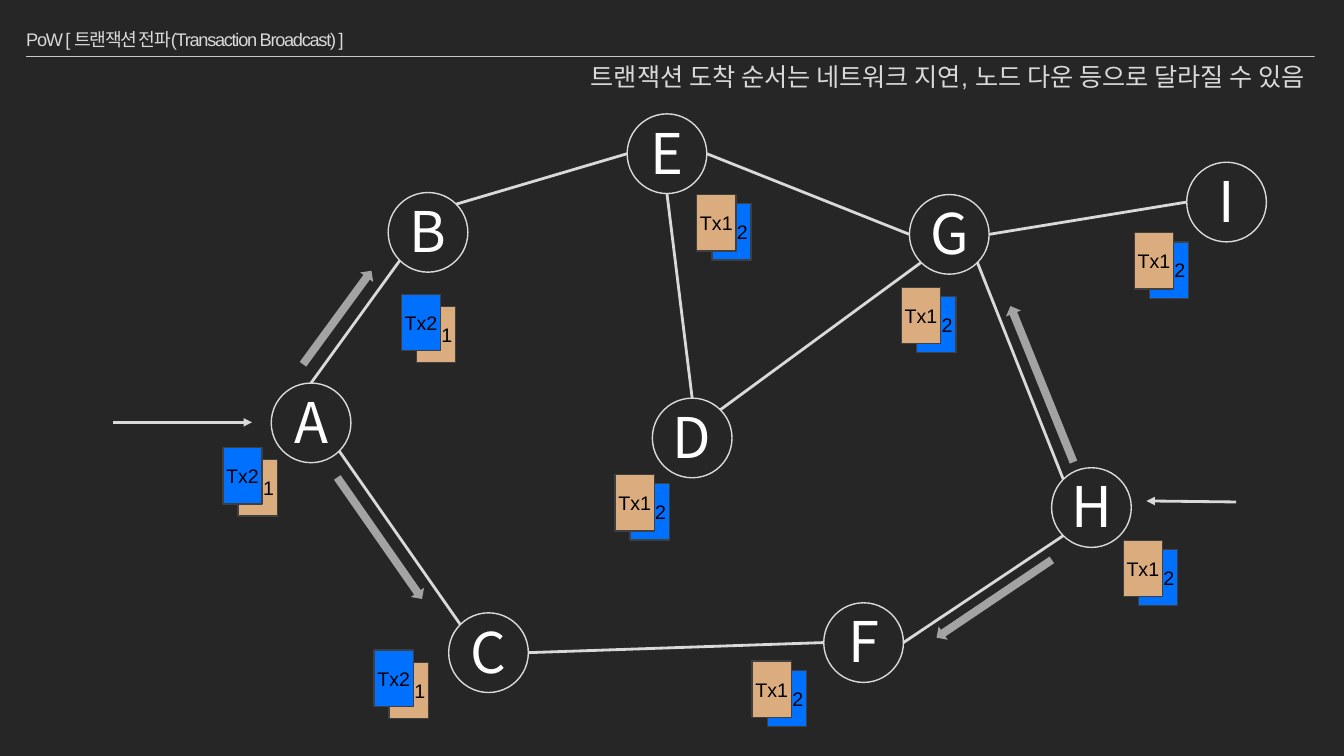
"""Build the transaction broadcast network slide."""
from math import cos, radians, sin

from pptx import Presentation
from pptx.dml.color import RGBColor
from pptx.enum.shapes import MSO_CONNECTOR as CONN, MSO_SHAPE as SHAPE
from pptx.enum.text import MSO_ANCHOR as ANCHOR, PP_ALIGN as ALIGN
from pptx.oxml.ns import qn
from pptx.util import Inches, Pt

TITLE = "PoW [ 트랜잭션 전파(Transaction Broadcast) ]"
NOTE = "트랜잭션 도착 순서는 네트워크 지연, 노드 다운 등으로 달라질 수 있음"
NODES = {
    "A": (2.69, 3.8), "I": (11.77, 1.61), "H": (10.43, 4.64),
    "G": (9.02, 1.93), "F": (8.17, 5.98), "E": (6.22, 1.13),
    "D": (6.47, 3.95), "C": (4.45, 6.08), "B": (3.85, 1.91),
}
EDGES = [
    ("A", "top", "B", "bottom left"), ("E", "left", "B", "top right"),
    ("E", "bottom", "D", "top"), ("A", "bottom right", "C", "top left"),
    ("C", "right", "F", "left"), ("F", "right", "H", "bottom left"),
    ("D", "top right", "G", "bottom left"), ("G", "right", "I", "left"),
    ("G", "left", "E", "right"), ("G", "bottom right", "H", "top left"),
]
INPUTS = [((1.12, 4.19), (2.5, 4.19)), ((12.26, 4.98), (11.37, 4.97))]
BROADCASTS = [
    (2.77, 3.07, 1.15, 306.2), (3.03, 5.26, 1.47, 55.1),
    (9.17, 5.86, 1.38, 146), (9.5, 3.73, 1.67, 248),
]
QUEUES = [
    ("Tx2", 2.21, 4.44), ("Tx1", 11.14, 5.36), ("Tx1", 7.46, 6.56),
    ("Tx1", 11.25, 2.31), ("Tx1", 8.94, 2.85), ("Tx1", 6.1, 4.71),
    ("Tx1", 6.91, 1.93), ("Tx2", 3.71, 6.45), ("Tx2", 3.98, 2.92),
]
COLORS = {
    "background": "262626", "rule": "F2F2F2", "light": "D9D9D9",
    "node": "FFFFFF", "ink": "000000", "border": "3F3F3F",
    "Tx1": "DBAC7D", "Tx2": "0071FF",
}
ANGLES = {
    "right": 0, "bottom right": 45, "bottom": 90, "bottom left": 135,
    "left": 180, "top left": 225, "top": 270, "top right": 315,
}
BEHIND = {"Tx1": ("Tx2", 0.15, 0.09), "Tx2": ("Tx1", 0.15, 0.12)}
NODE_SIZE = 0.79
ARROW_H = 0.16
CARD_W, CARD_H = 0.39, 0.56
KOREAN = "Noto Sans CJK KR"

prs = Presentation()
prs.slide_width, prs.slide_height = Inches(13.33), Inches(7.5)
slide = prs.slides.add_slide(prs.slide_layouts[6])


def rgb(name):
    return RGBColor.from_string(COLORS[name])


def set_opacity(s, percent):
    for color in s.element.spPr.iter(qn("a:srgbClr")):
        alpha = color.makeelement(qn("a:alpha"), {"val": str(percent * 1000)})
        color.append(alpha)


def write(s, text, size, color, font="Arial", align=ALIGN.CENTER,
          anchor=ANCHOR.MIDDLE, margins=(0, 0, 0, 0), wrap=True):
    tf = s.text_frame
    sides = ("left", "top", "right", "bottom")
    frame = {f"margin_{side}": Inches(m) for side, m in zip(sides, margins)}
    frame.update(word_wrap=wrap, vertical_anchor=anchor)
    for key, value in frame.items():
        setattr(tf, key, value)
    p = tf.paragraphs[0]
    p.alignment = align
    r = p.add_run()
    r.text = text
    for key, value in {"size": Pt(size), "name": font}.items():
        setattr(r.font, key, value)
    r.font.color.rgb = rgb(color)
    rPr = r.font._element
    rPr.append(rPr.makeelement(qn("a:ea"), {"typeface": KOREAN}))
    return p, r


def add_box(kind, x, y, w, h, fill=None, line=None):
    s = slide.shapes.add_shape(kind, *map(Inches, (x, y, w, h)))
    s.shadow.inherit = False
    if fill:
        s.fill.solid()
        s.fill.fore_color.rgb = rgb(fill)
    else:
        s.fill.background()
    if line:
        s.line.color.rgb = rgb(line)
        s.line.width = Pt(1)
    else:
        s.line.fill.background()
    return s


def add_line(start, end, color="light", width=2, arrow=False):
    s = slide.shapes.add_connector(CONN.STRAIGHT, *map(Inches, start + end))
    s.line.color.rgb = rgb(color)
    s.line.width = Pt(width)
    spPr = s.element.spPr
    if arrow:
        ln = spPr.find(qn("a:ln"))
        ln.append(ln.makeelement(qn("a:tailEnd"), {"type": "triangle"}))
    spPr.append(spPr.makeelement(qn("a:effectLst"), {}))
    return s


def node_site(node, side):
    x, y = NODES[node]
    radius, angle = NODE_SIZE / 2, radians(ANGLES[side])
    return x + radius + radius * cos(angle), y + radius + radius * sin(angle)


def add_card(name, x, y):
    s = add_box(SHAPE.RECTANGLE, x, y, CARD_W, CARD_H, name, "border")
    write(s, name, 14, "ink")


def add_heading():
    set_opacity(add_line((0.26, 0.56), (13.04, 0.56), "rule", 0.5), 80)
    s = slide.shapes.add_textbox(*map(Inches, (0.26, 0.21, 12.81, 0.35)))
    p, r = write(s, TITLE, 13, "light", align=ALIGN.LEFT,
                 margins=(0, 0.05, 0, 0.05))
    p.line_spacing = 1.05
    r.font._element.set("spc", "-90")


def add_network():
    for name, (x, y) in NODES.items():
        s = add_box(SHAPE.OVAL, x, y, NODE_SIZE, NODE_SIZE, line="light")
        write(s, name, 40, "node", KOREAN, margins=(0, 0, 0, 0.04), wrap=False)
    for start, start_side, end, end_side in EDGES:
        add_line(node_site(start, start_side), node_site(end, end_side))
    for start, end in INPUTS:
        add_line(start, end, arrow=True)
    for x, y, length, angle in BROADCASTS:
        s = add_box(SHAPE.RIGHT_ARROW, x, y, length, ARROW_H, "light")
        s.rotation = angle
        set_opacity(s, 70)


def add_queues():
    for front, x, y in QUEUES:
        back, dx, dy = BEHIND[front]
        add_card(back, x + dx, y + dy)
        add_card(front, x, y)


def main():
    slide.background.fill.solid()
    slide.background.fill.fore_color.rgb = rgb("background")
    add_heading()
    add_network()
    add_queues()
    s = slide.shapes.add_textbox(*map(Inches, (5, 0.56, 8.04, 0.4)))
    write(s, NOTE, 18, "light", align=ALIGN.RIGHT, anchor=ANCHOR.TOP,
          margins=(0.1, 0.05, 0.1, 0.05))
    prs.save("out.pptx")


if __name__ == "__main__":
    main()
